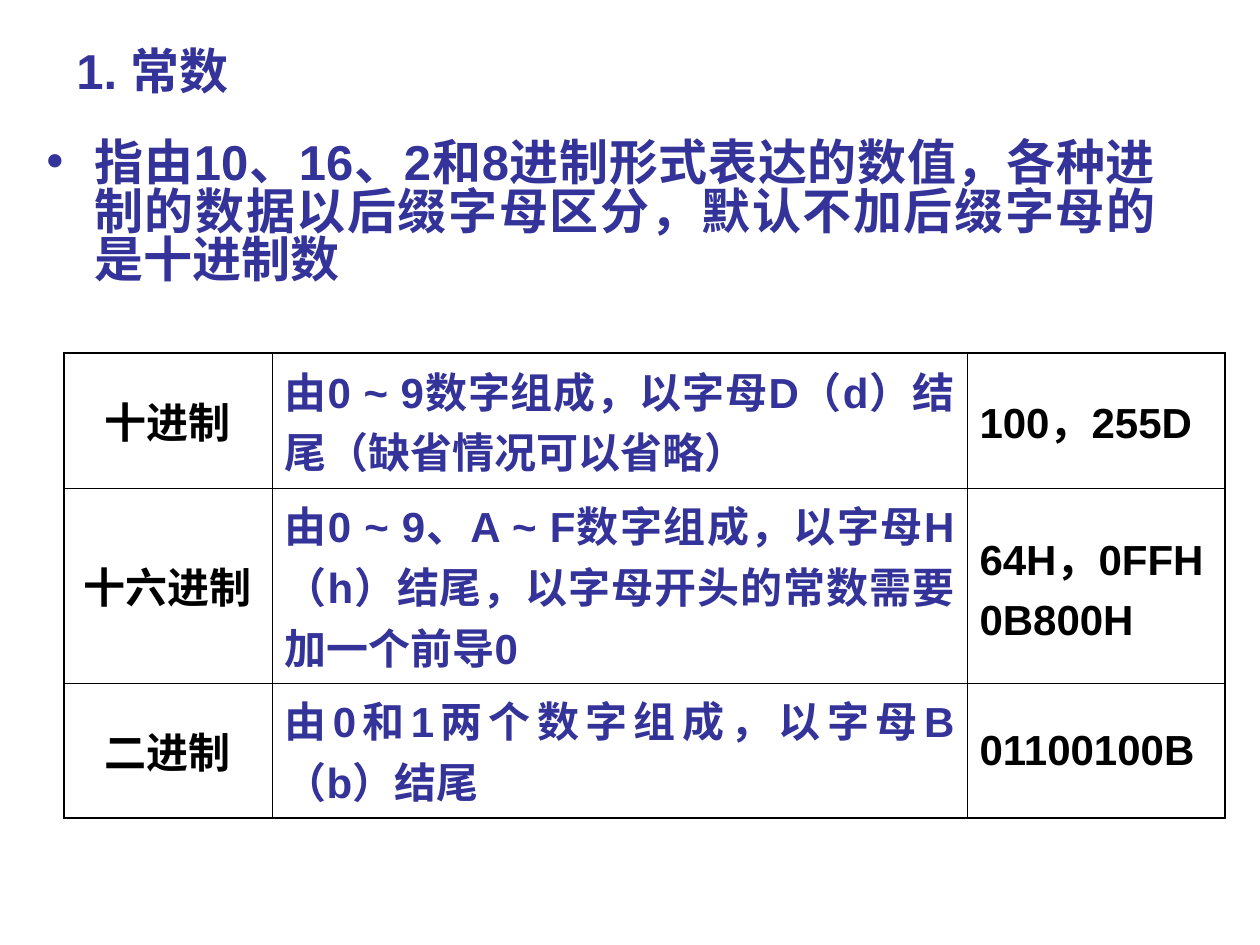
from lxml import etree
from pptx import Presentation, util as u
from pptx.dml.color import RGBColor
from pptx.enum import lang, text
from pptx.oxml import ns

PX = 914400 // 126
COLORS = {"blue": "333399", "black": "000000"}
FONT = "Arial"
THIN, THICK = 0.45, 1.08
ALIGN, ANCHOR = text.PP_ALIGN, text.MSO_ANCHOR

TITLE = "1. 常数"
BODY = "指由10、16、2和8进制形式表达的数值，各种进制的数据以后缀字母区分，默认不加后缀字母的是十进制数"
ROWS = [
    ["十进制", "由0 ~ 9数字组成，以字母D（d）结尾（缺省情况可以省略）", "100，255D"],
    ["十六进制", "由0 ~ 9、A ~ F数字组成，以字母H（h）结尾，以字母开头的常数需要加一个前导0",
     "64H，0FFH\n0B800H"],
    ["二进制", "由0和1两个数字组成，以字母B（b）结尾", "01100100B"],
]
WIDTHS = [208, 695, 258]
HEIGHTS = [135, 195, 135]
# One entry per column: alignment, anchor, colour
STYLES = [
    (ALIGN.CENTER, ANCHOR.MIDDLE, "black"),
    (ALIGN.JUSTIFY, ANCHOR.TOP, "blue"),
    (ALIGN.JUSTIFY, ANCHOR.MIDDLE, "black"),
]


def px(*sizes):
    return [u.Emu(size * PX) for size in sizes]


def sub(parent, tag, **attrs):
    return etree.SubElement(parent, ns.qn(tag), attrs)


def style(frame, size, color, align):
    for n, para in enumerate(frame.paragraphs):
        para.alignment = align
        if n:
            para.space_before = u.Pt(6)
        for run in para.runs:
            font = run.font
            font.name, font.size, font.bold = FONT, u.Pt(size), True
            font.color.rgb = RGBColor.from_string(COLORS[color])
            font.language_id = lang.MSO_LANGUAGE_ID.SIMPLIFIED_CHINESE


def add_text(slide, box, words, align, anchor):
    frame = slide.shapes.add_textbox(*px(*box)).text_frame
    frame.word_wrap = True
    frame.vertical_anchor = anchor
    frame.text = words
    style(frame, 28, "blue", align)
    return frame.paragraphs[0]


def add_bullet(para, indent):
    props = para._p.get_or_add_pPr()
    props.set("marL", str(indent * PX))
    props.set("indent", str(-indent * PX))
    sub(sub(props, "a:buClr"), "a:srgbClr", val=COLORS["blue"])
    sub(props, "a:buFont", typeface=FONT)
    sub(props, "a:buChar", char="•")


def set_edges(cell, outer):
    """Draw the four cell borders, thick where the side is in outer."""
    props = cell._tc.get_or_add_tcPr()
    for n, side in enumerate("LRTB"):
        width = u.Pt(THICK if side in outer else THIN)
        line = etree.Element(ns.qn("a:ln" + side), w=str(int(width)))
        sub(sub(line, "a:solidFill"), "a:srgbClr", val=COLORS["black"])
        props.insert(n, line)


def add_grid(slide, left, top):
    box = px(left, top, sum(WIDTHS), sum(HEIGHTS))
    table = slide.shapes.add_table(len(ROWS), len(WIDTHS), *box).table
    table.first_row = table.horz_banding = False
    for col, width in zip(table.columns, px(*WIDTHS)):
        col.width = width
    for row, height in zip(table.rows, px(*HEIGHTS)):
        row.height = height
    for r, row in enumerate(ROWS):
        for c, (words, (align, anchor, color)) in enumerate(zip(row, STYLES)):
            cell = table.cell(r, c)
            cell.text_frame.text = words
            cell.vertical_anchor = anchor
            cell.fill.background()
            style(cell.text_frame, 24, color, align)
            ends = {"L": c == 0, "R": c == len(WIDTHS) - 1,
                    "T": r == 0, "B": r == len(ROWS) - 1}
            set_edges(cell, [side for side in ends if ends[side]])


def main():
    deck = Presentation()
    deck.slide_width, deck.slide_height = px(1260, 945)
    slide = deck.slides.add_slide(deck.slide_layouts[6])
    add_text(slide, (64, 35, 1134, 70), TITLE, ALIGN.LEFT, ANCHOR.MIDDLE)
    body = add_text(slide, (34, 135, 1134, 198), BODY, ALIGN.JUSTIFY, ANCHOR.TOP)
    add_bullet(body, 48)
    body.line_spacing = 0.83
    add_grid(slide, 64, 353)
    deck.save("out.pptx")


if __name__ == "__main__":
    main()
